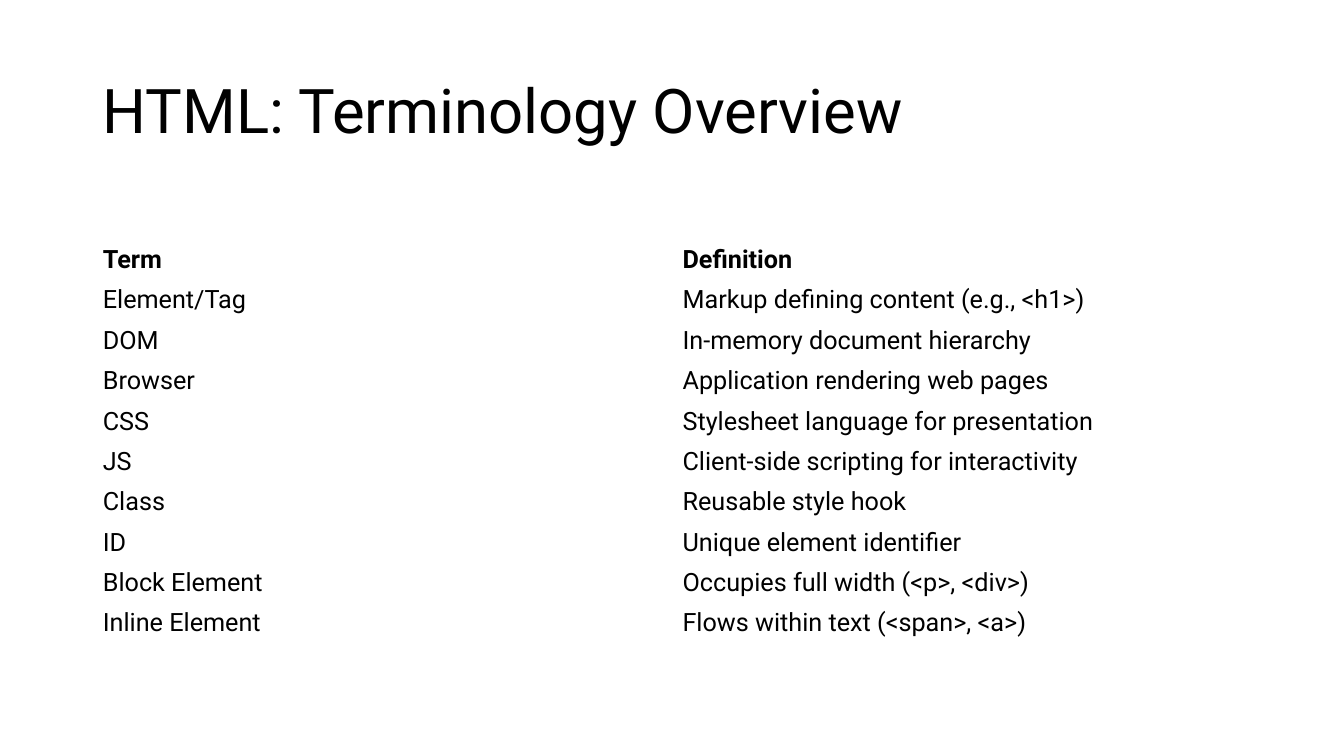
from pptx import Presentation
from pptx.dml.color import RGBColor
from pptx.enum.text import MSO_ANCHOR as Anchor
from pptx.util import Inches, Pt

FONT = "Roboto"
INK = "000000"
LEFT, WIDTH = 0.92, 11.5
ROW = 0.39

TERMS = [
    ("Term", "Definition"),
    ("Element/Tag", "Markup defining content (e.g., <h1>)"),
    ("DOM", "In-memory document hierarchy"),
    ("Browser", "Application rendering web pages"),
    ("CSS", "Stylesheet language for presentation"),
    ("JS", "Client-side scripting for interactivity"),
    ("Class", "Reusable style hook"),
    ("ID", "Unique element identifier"),
    ("Block Element", "Occupies full width (<p>, <div>)"),
    ("Inline Element", "Flows within text (<span>, <a>)"),
]


def color(code):
    return RGBColor.from_string(code)


def write(frame, text, size, bold=False):
    frame.text = text
    font = frame.paragraphs[0].runs[0].font
    font.name = FONT
    font.size = Pt(size)
    font.bold = bold
    font.color.rgb = color(INK)


def add_title(slide, text):
    box = slide.shapes.add_textbox(
        Inches(LEFT), Inches(0.4), Inches(WIDTH), Inches(1.45))
    frame = box.text_frame
    frame.word_wrap = True
    frame.vertical_anchor = Anchor.MIDDLE
    write(frame, text, 44)
    frame.paragraphs[0].line_spacing = 0.9


def add_terms(slide, rows):
    count = len(rows)
    table = slide.shapes.add_table(
        count, len(rows[0]), Inches(LEFT), Inches(2.38),
        Inches(WIDTH), Inches(ROW * count)).table
    table.horz_banding = False
    for r, row in enumerate(rows):
        for c, text in enumerate(row):
            cell = table.cell(r, c)
            cell.fill.background()
            cell.vertical_anchor = Anchor.MIDDLE
            write(cell.text_frame, text, 18, bold=r == 0)


def main():
    deck = Presentation()
    deck.slide_width = Inches(13.33)
    deck.slide_height = Inches(7.5)
    slide = deck.slides.add_slide(deck.slide_layouts[6])

    # Heading
    add_title(slide, "HTML: Terminology Overview")

    # Terms and their definitions
    add_terms(slide, TERMS)

    deck.save("out.pptx")


if __name__ == "__main__":
    main()
